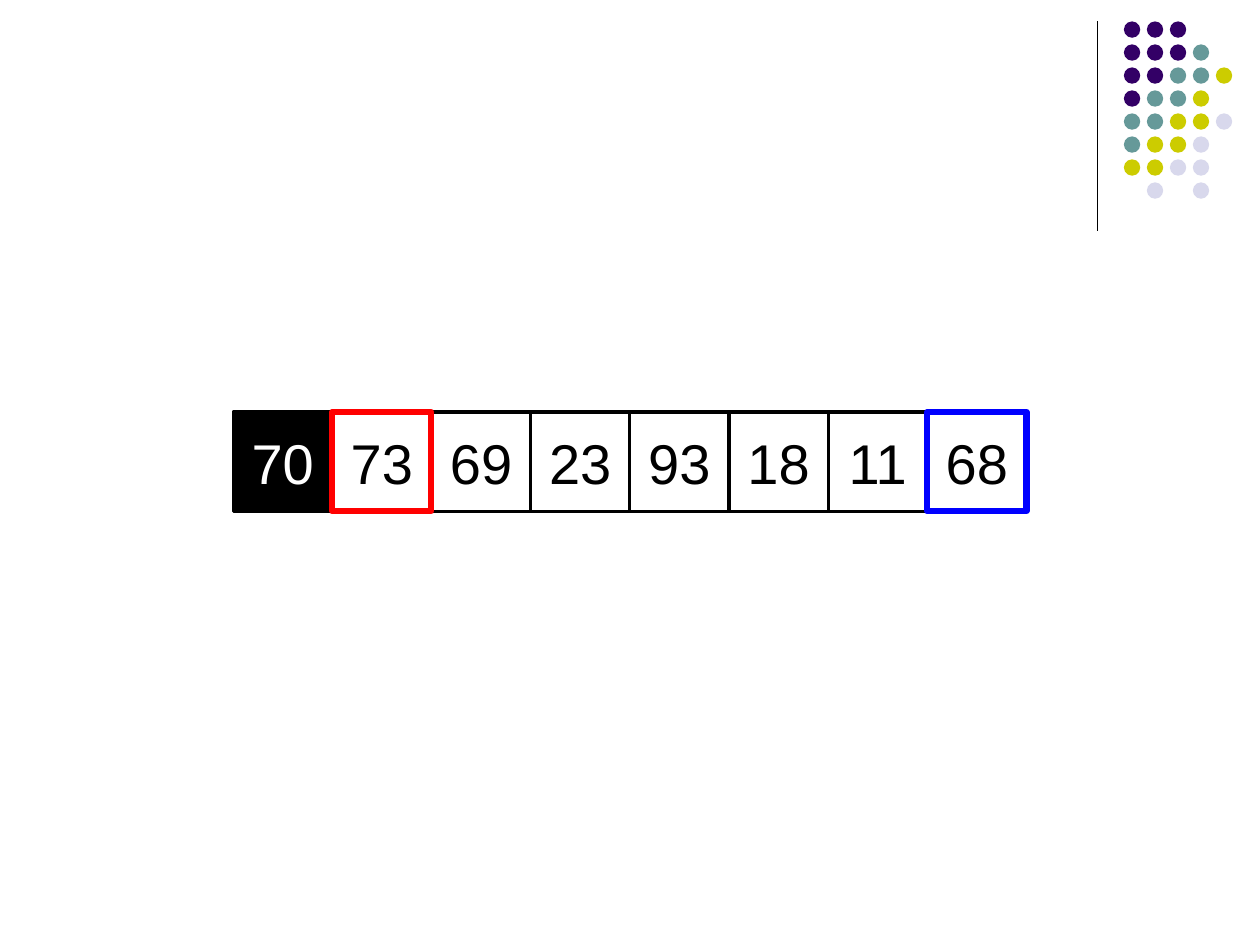
from pptx import Presentation
from pptx.dml.color import RGBColor as RGB
from pptx.enum.shapes import MSO_CONNECTOR as Conn, MSO_SHAPE as Kind
from pptx.enum.text import MSO_ANCHOR as Anchor, PP_ALIGN as Align
from pptx.oxml.ns import qn
from pptx.util import Inches, Pt
from lxml.etree import SubElement

HEX = {
    "black": "000000", "white": "FFFFFF", "red": "FF0000", "blue": "0000FF",
    "P": "330066", "T": "669999", "Y": "CCCC00", "L": "D8D8EC",
}

# One letter per dot: purple, teal, yellow, lilac
DOTS = ["PPP", "PPPT", "PPTTY", "PTTY", "TTYYL", "TYYL", "YYLL", " L L"]
DOT_LEFT, DOT_TOP, DOT_SIZE = 8.92, 0.17, 0.13
DOT_STEP = (9.65 - DOT_LEFT) / 4

VALUES = [70, 73, 69, 23, 93, 18, 11, 68]
ROW_LEFT, ROW_TOP = 1.85, 3.27
CELL = (7.36 - ROW_LEFT) / 7


def color(name):
    return RGB.from_string(HEX[name])


def add_shape(slide, kind, left, top, size, fill=None, line=None, width=0):
    shape = slide.shapes.add_shape(
        kind, Inches(left), Inches(top), Inches(size), Inches(size))
    shape.shadow.inherit = False
    if fill:
        shape.fill.solid()
        shape.fill.fore_color.rgb = color(fill)
    else:
        shape.fill.background()
    if line:
        shape.line.color.rgb = color(line)
        shape.line.width = Pt(width)
    else:
        shape.line.fill.background()
    return shape


def add_rule(slide, x, top, end):
    rule = slide.shapes.add_connector(
        Conn.STRAIGHT, Inches(x), Inches(top), Inches(x), Inches(end))
    rule.line.color.rgb = color("black")
    rule.line.width = Pt(0.75)
    SubElement(rule.element.spPr, qn("a:effectLst"))


def add_dots(slide):
    for row, line in enumerate(DOTS):
        for col, key in enumerate(line):
            if key != " ":
                add_shape(slide, Kind.OVAL, DOT_LEFT + col * DOT_STEP,
                          DOT_TOP + row * DOT_STEP, DOT_SIZE, fill=key)


def add_box(slide, index, fill=None, line="black", width=1.75):
    return add_shape(slide, Kind.RECTANGLE, ROW_LEFT + index * CELL, ROW_TOP,
                     CELL, fill, line, width)


def add_cell(slide, index, value, fill=None, ink="black"):
    frame = add_box(slide, index, fill).text_frame
    frame.text = str(value)
    frame.vertical_anchor = Anchor.MIDDLE
    para = frame.paragraphs[0]
    para.alignment = Align.CENTER
    font = para.runs[0].font
    font.name = "Arial"
    font.size = Pt(32)
    font.color.rgb = color(ink)


def main():
    deck = Presentation()
    deck.slide_width, deck.slide_height = Inches(10), Inches(7.5)
    slide = deck.slides.add_slide(deck.slide_layouts[6])

    # Corner decoration
    add_rule(slide, 8.71, 0.17, 1.83)
    add_dots(slide)

    # Array, with the pivot in black
    add_cell(slide, 0, VALUES[0], "black", "white")
    for index, value in enumerate(VALUES[1:], 1):
        add_cell(slide, index, value)

    # Right and left markers
    add_box(slide, len(VALUES) - 1, line="blue", width=3.5)
    add_box(slide, 1, line="red", width=3.5)

    deck.save("out.pptx")


if __name__ == "__main__":
    main()
